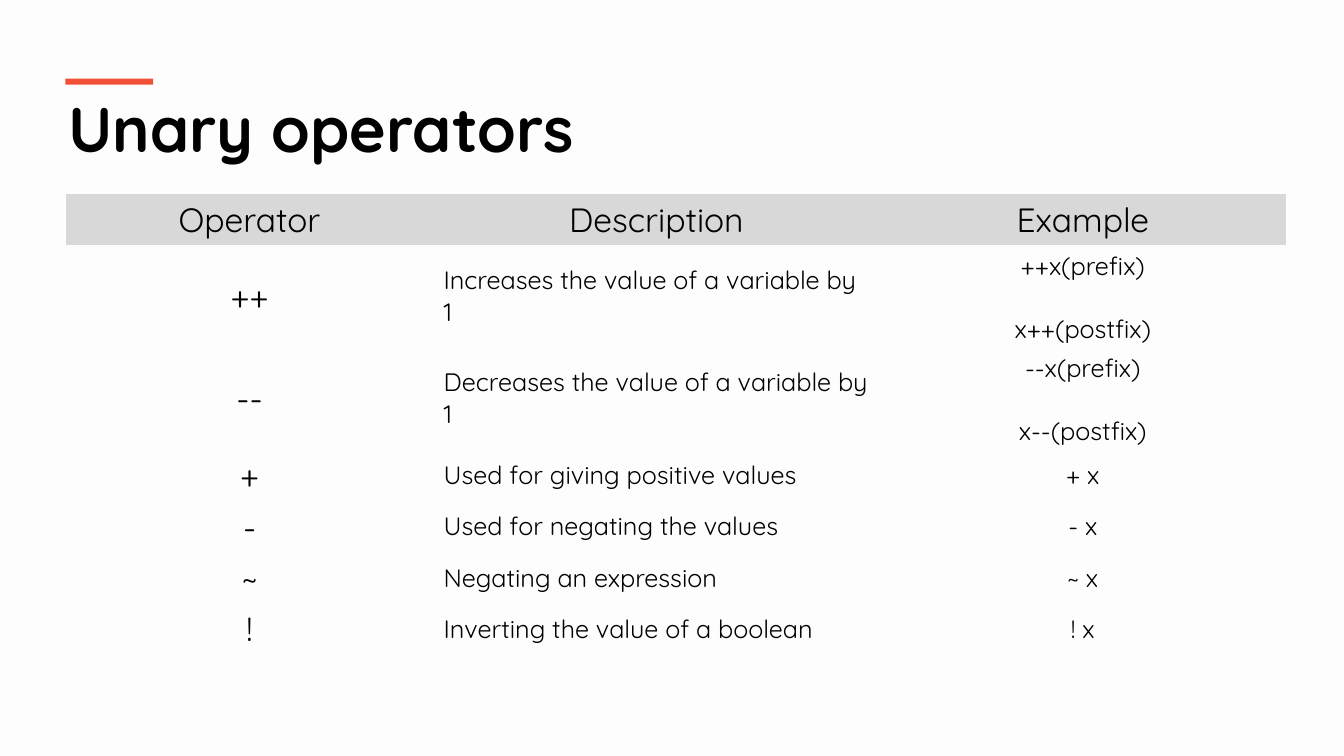
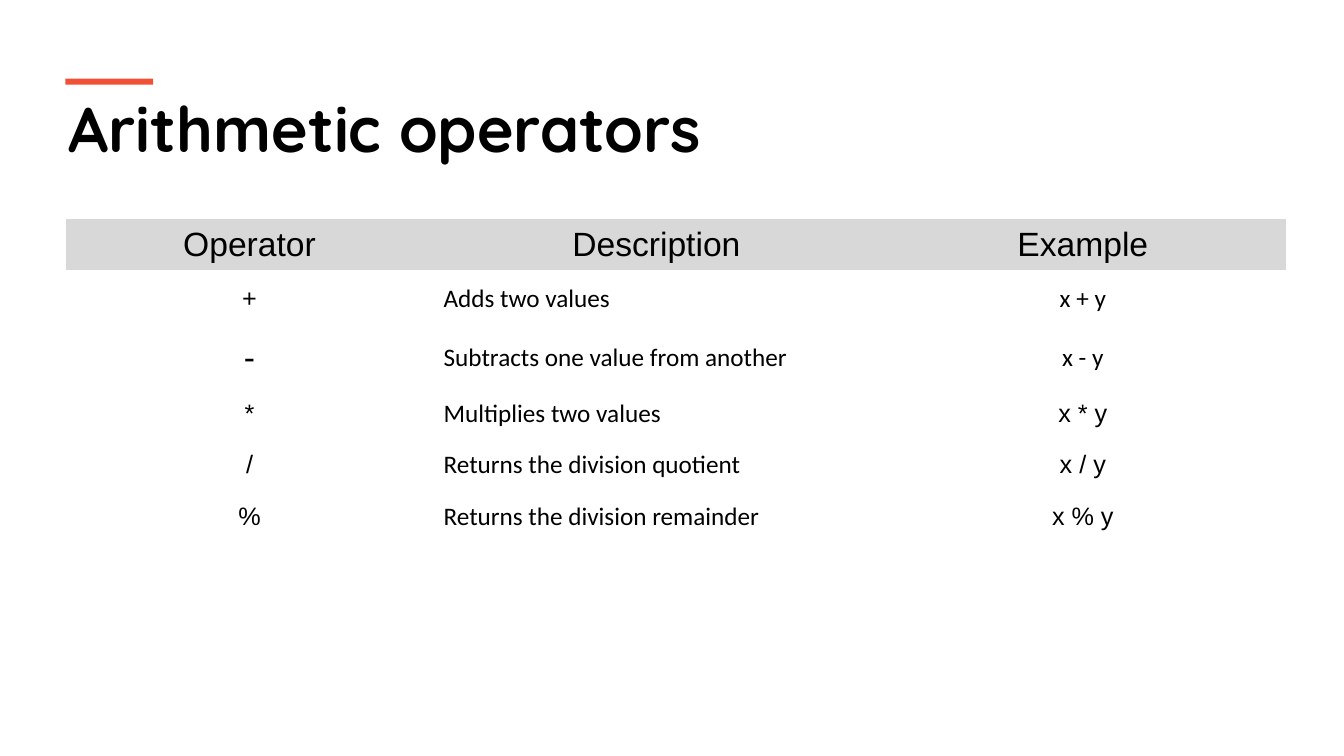
from pptx import Presentation
from pptx.dml.color import RGBColor
from pptx.enum.shapes import MSO_SHAPE
from pptx.enum.text import MSO_ANCHOR, PP_ALIGN
from pptx.util import Inches, Pt

RECTANGLE = MSO_SHAPE.RECTANGLE
MIDDLE = MSO_ANCHOR.MIDDLE
LEFT, CENTER = PP_ALIGN.LEFT, PP_ALIGN.CENTER

BLACK, ORANGE, GREY = "000000", "F05136", "D8D8D8"
TITLE_FONT = "Quicksand"
BODY_SIZE, LARGE_SIZE = 18, 24
LINE_GAP = 22.5
LEFT_EDGE = 0.65
COLUMN_WIDTHS = (3.65, 4.42, 4.04)
HEADER_HEIGHT = 0.51
NO_GRID_STYLE = "{2D5ABB26-0587-4C30-8999-92F81FD0307C}"
HEADERS = ("Operator", "Description", "Example")

SLIDES = [
    {
        "title": "Unary operators",
        "background": "FDFDFD",
        "table_top": 1.92,
        "header_font": "Quicksand",
        "description_font": "Quicksand",
        "rows": [
            (1.0, "++", LARGE_SIZE, "Increases the value of a variable by 1",
             "++x(prefix)\nx++(postfix)", "Quicksand"),
            (1.0, "--", LARGE_SIZE, "Decreases the value of a variable by 1",
             "--x(prefix)\nx--(postfix)", "Quicksand"),
            (0.51, "+", LARGE_SIZE, "Used for giving positive values", "+ x", "Quicksand"),
            (0.51, "-", LARGE_SIZE, "Used for negating the values", "- x", "Quicksand"),
            (0.51, "~", LARGE_SIZE, "Negating an expression", "~ x", "Quicksand"),
            (0.51, "!", LARGE_SIZE, "Inverting the value of a boolean", "! x", "Quicksand"),
        ],
    },
    {
        "title": "Arithmetic operators",
        "background": "FFFFFF",
        "table_top": 2.17,
        "header_font": "Arial",
        "description_font": "Calibri",
        "rows": [
            (0.57, "+", BODY_SIZE, "Adds two values", "x + y", "Calibri"),
            (0.6, "-", LARGE_SIZE, "Subtracts one value from another", "x - y", "Calibri"),
            (0.51, "*", BODY_SIZE, "Multiplies two values", "x * y", "Arial"),
            (0.51, "/", BODY_SIZE, "Returns the division quotient", "x / y", "Arial"),
            (0.51, "%", BODY_SIZE, "Returns the division remainder", "x % y", "Arial"),
        ],
    },
]


def color(value):
    return RGBColor.from_string(value)


def write(frame, text, font, size, bold=False, align=LEFT, gap=0):
    frame.word_wrap = True
    for index, line in enumerate(text.split("\n")):
        para = frame.add_paragraph() if index else frame.paragraphs[0]
        para.alignment = align
        if index:
            para.space_before = Pt(gap)
        span = para.add_run()
        span.text = line
        span.font.name = font
        span.font.size = Pt(size)
        span.font.bold = bold
        span.font.color.rgb = color(BLACK)


def add_page(deck, title, background):
    page = deck.slides.add_slide(deck.slide_layouts[6])
    page.background.fill.solid()
    page.background.fill.fore_color.rgb = color(background)
    box = page.shapes.add_textbox(Inches(0.58), Inches(0.84), Inches(12.34), Inches(0.86))
    write(box.text_frame, title, font=TITLE_FONT, size=45, bold=True)
    accent = page.shapes.add_shape(
        RECTANGLE, Inches(LEFT_EDGE), Inches(0.78), Inches(0.87), Inches(0.06))
    accent.shadow.inherit = False
    accent.fill.solid()
    accent.fill.fore_color.rgb = color(ORANGE)
    accent.line.fill.background()
    return page


def add_operator_table(page, content):
    rows = content["rows"]
    heights = [HEADER_HEIGHT] + [row[0] for row in rows]
    frame = page.shapes.add_table(
        len(heights), len(COLUMN_WIDTHS), Inches(LEFT_EDGE), Inches(content["table_top"]),
        Inches(sum(COLUMN_WIDTHS)), Inches(sum(heights)))
    table = frame.table
    table.first_row = table.horz_banding = False
    table._tbl.tblPr[0].text = NO_GRID_STYLE
    for column, width in zip(table.columns, COLUMN_WIDTHS):
        column.width = Inches(width)
    for row, height in zip(table.rows, heights):
        row.height = Inches(height)

    header_font = content["header_font"]
    lines = [[(name, header_font, LARGE_SIZE, CENTER) for name in HEADERS]]
    for _, operator, operator_size, description, example, example_font in rows:
        lines.append([
            (operator, header_font, operator_size, CENTER),
            (description, content["description_font"], BODY_SIZE, LEFT),
            (example, example_font, BODY_SIZE, CENTER),
        ])
    for row_index, line in enumerate(lines):
        for column_index, (text, font, size, align) in enumerate(line):
            cell = table.cell(row_index, column_index)
            cell.vertical_anchor = MIDDLE
            if row_index:
                cell.fill.background()
            else:
                cell.fill.solid()
                cell.fill.fore_color.rgb = color(GREY)
            write(cell.text_frame, text, font=font, size=size, align=align, gap=LINE_GAP)


def main():
    deck = Presentation()
    deck.slide_width, deck.slide_height = Inches(13.33), Inches(7.5)
    for content in SLIDES:
        page = add_page(deck, content["title"], content["background"])
        add_operator_table(page, content)
    deck.save("out.pptx")


if __name__ == "__main__":
    main()
